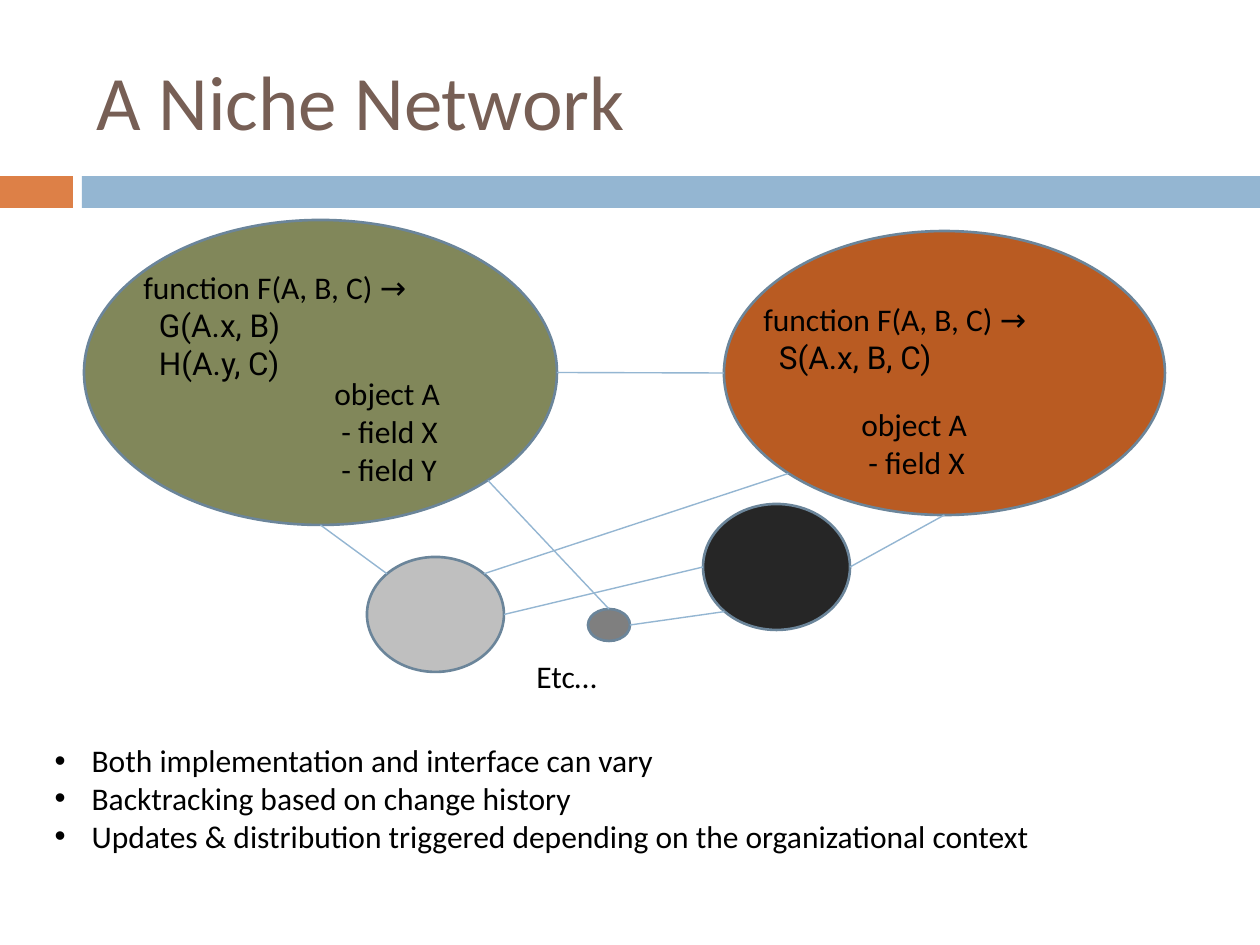
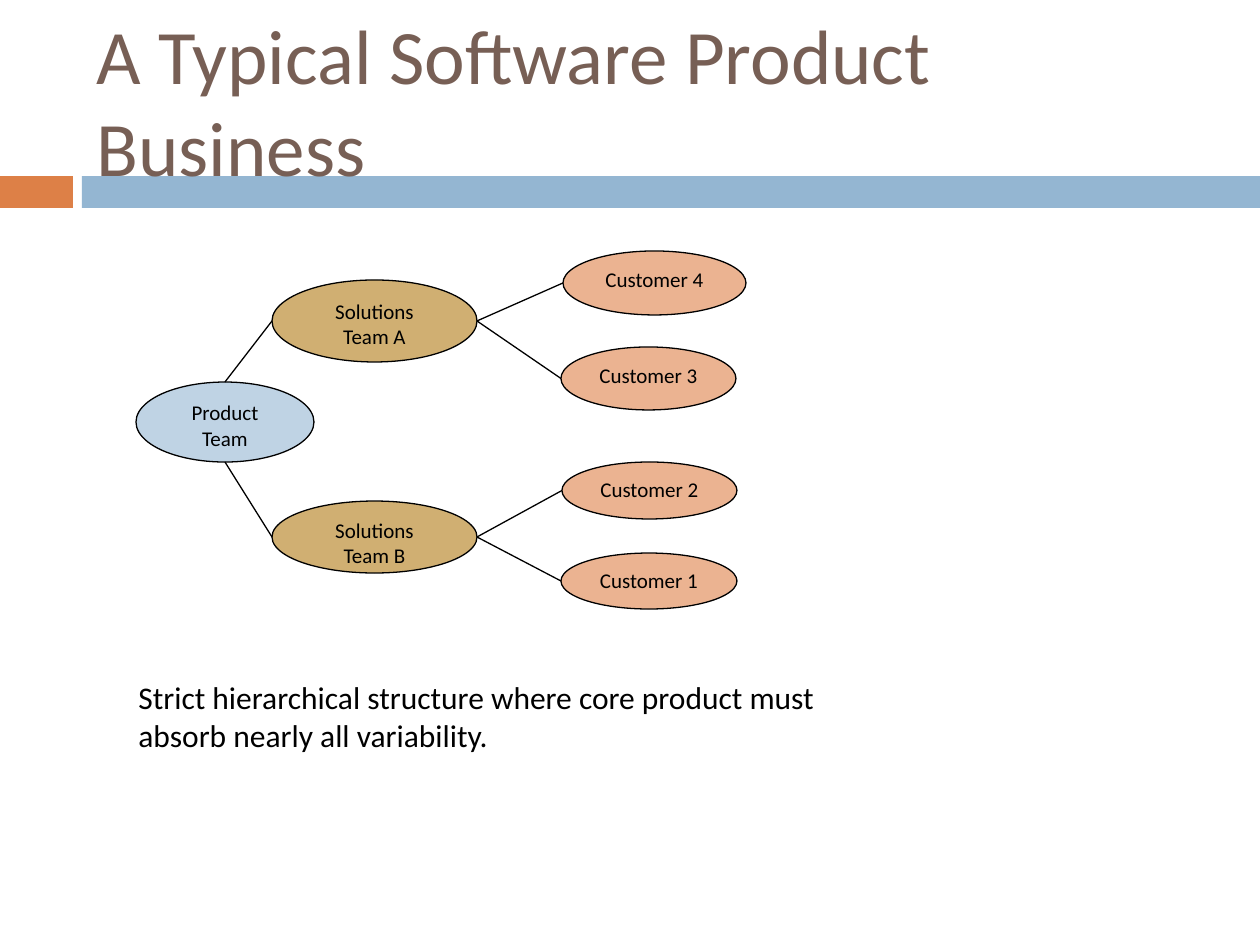
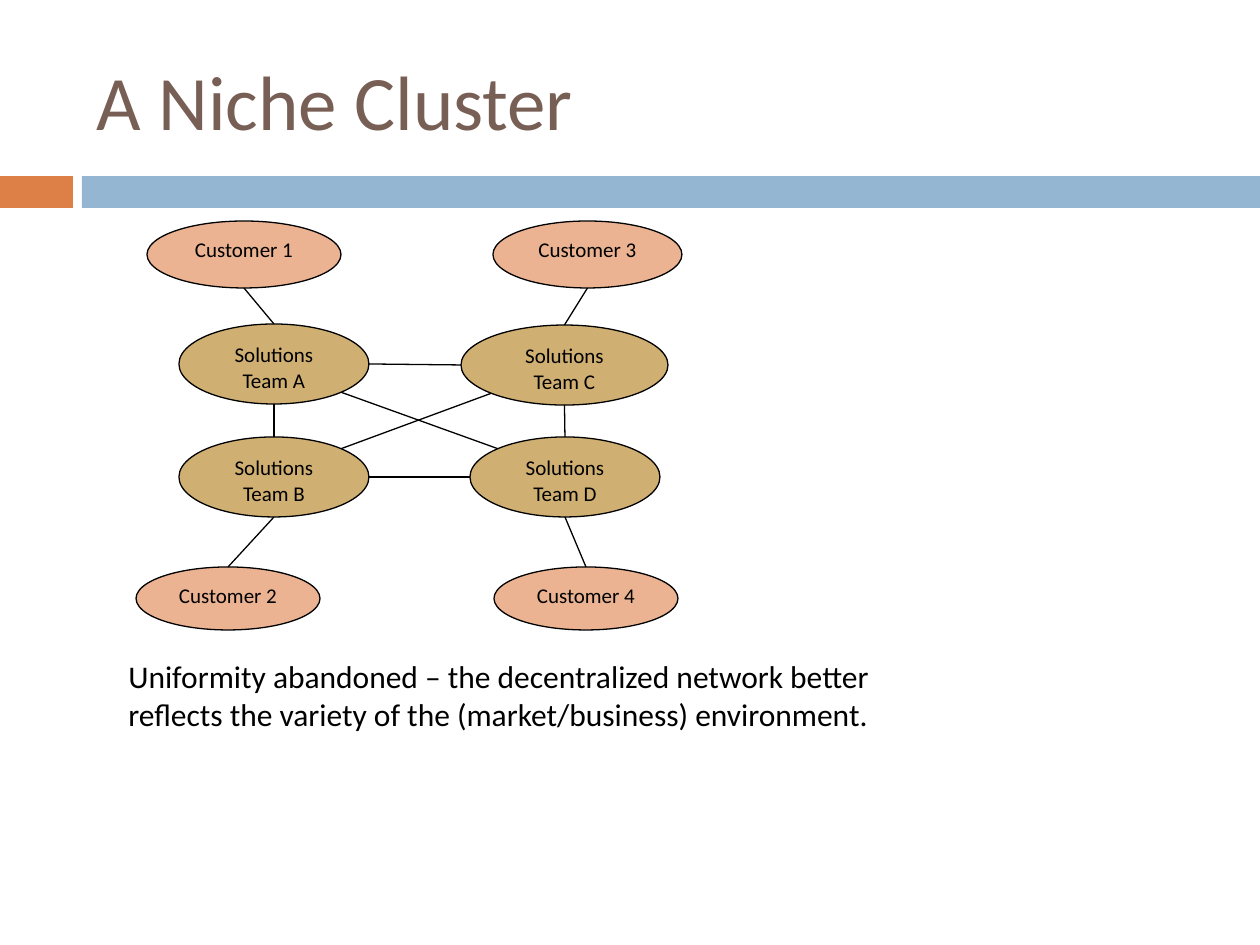
from lxml.etree import SubElement
from pptx import Presentation
from pptx.dml.color import RGBColor
from pptx.enum.shapes import MSO_CONNECTOR, MSO_SHAPE
from pptx.enum.text import MSO_ANCHOR, MSO_AUTO_SIZE, PP_ALIGN
from pptx.oxml.ns import qn
from pptx.util import Emu, Pt

# Shared look
PX = 914400 / 126
FONT, CODE_FONT = "Calibri", "Roboto"
BLACK, TITLE_COLOR = "000000", "775F55"
BANDS = [((0, 176, 73, 32), "DD8047"), ((82, 176, 1178, 32), "94B6D2")]
TITLE_BOX = (84, 32, 1124, 136)
NICHE_LINE, NICHE_LINK = ("6B859A", 1.5), ("94B6D2", 0.8)
TEAM_LINE = (BLACK, 0.75)
PRODUCT, SOLUTIONS, CUSTOMER = "BFD3E4", "D0AF72", "EBB391"

# Where links meet an ellipse, as fractions of its box
NEAR, FAR = 0.146, 0.854
SITES = {
    "top": (0.5, 0), "bottom": (0.5, 1), "left": (0, 0.5), "right": (1, 0.5),
    "top left": (NEAR, NEAR), "top right": (FAR, NEAR),
    "bottom left": (NEAR, FAR), "bottom right": (FAR, FAR),
}

# Slide 1: each node is name: (box, fill, label)
NICHES = {
    "green": ((84, 220, 473, 305), "81875A", ""),
    "orange": ((724, 231, 441, 284), "B95B22", ""),
    "light": ((367, 557, 137, 115), "BFBFBF", ""),
    "dark": ((703, 504, 147, 126), "262626", ""),
    "small": ((588, 609, 42, 32), "7F7F7F", ""),
}
NICHE_LINKS = [
    ("green", "right", "orange", "left"),
    ("green", "bottom", "light", "top left"),
    ("light", "top right", "orange", "bottom left"),
    ("dark", "bottom left", "small", "right"),
    ("small", "top", "green", "bottom right"),
    ("light", "right", "dark", "left"),
    ("dark", "right", "orange", "bottom"),
]
SIGNATURE = [("function F(A, B, C) ", FONT), ("→", CODE_FONT)]
NICHE_NOTES = [
    ((131, 262, 328, 126),
     [SIGNATURE, [("  G(A.x, B)", CODE_FONT)], [("  H(A.y, C)", CODE_FONT)]]),
    ((322, 368, 144, 126),
     [[("object A", FONT)], [(" - field X", FONT)], [(" - field Y", FONT)]]),
    ((751, 294, 328, 88), [SIGNATURE, [("  S(A.x, B, C)", CODE_FONT)]]),
    ((849, 399, 150, 88), [[("object A", FONT)], [(" - field X", FONT)]]),
    ((524, 651, 93, 50), [[("Etc…", FONT)]]),
]
BULLET_BOX, BULLET_INDENT = (42, 735, 1166, 126), 37
BULLETS = [
    "Both implementation and interface can vary",
    "Backtracking based on change history",
    "Updates & distribution triggered depending on the organizational context",
]

# Slides 2 and 3
TEAM_SLIDES = [
    {
        "title": "A Typical Software Product Business",
        "nodes": {
            "P": ((136, 382, 178, 80), PRODUCT, "Product Team"),
            "C4": ((563, 251, 183, 64), CUSTOMER, "Customer 4"),
            "C3": ((561, 347, 175, 63), CUSTOMER, "Customer 3"),
            "C2": ((562, 462, 175, 57), CUSTOMER, "Customer 2"),
            "C1": ((561, 553, 176, 56), CUSTOMER, "Customer 1"),
            "B": ((272, 501, 205, 72), SOLUTIONS, "Solutions Team B"),
            "A": ((272, 280, 205, 82), SOLUTIONS, "Solutions Team A"),
        },
        "links": [
            ("P", "top", "A", "left"), ("P", "bottom", "B", "left"),
            ("A", "right", "C4", "left"), ("A", "right", "C3", "left"),
            ("B", "right", "C2", "left"), ("B", "right", "C1", "left"),
        ],
        "note_box": (126, 672, 735, 88),
        "note": "Strict hierarchical structure where core product must "
                "absorb nearly all variability.",
    },
    {
        "title": "A Niche Cluster",
        "nodes": {
            "A": ((179, 324, 190, 80), SOLUTIONS, "Solutions Team A"),
            "B": ((179, 437, 190, 80), SOLUTIONS, "Solutions Team B"),
            "C": ((461, 325, 207, 80), SOLUTIONS, "Solutions Team C"),
            "C1": ((147, 221, 194, 67), CUSTOMER, "Customer 1"),
            "C3": ((493, 221, 189, 67), CUSTOMER, "Customer 3"),
            "C2": ((136, 567, 184, 63), CUSTOMER, "Customer 2"),
            "C4": ((494, 567, 184, 63), CUSTOMER, "Customer 4"),
            "D": ((470, 437, 190, 80), SOLUTIONS, "Solutions Team D"),
        },
        "links": [
            ("A", "top", "C1", "bottom"), ("C", "top", "C3", "bottom"),
            ("C2", "top", "B", "bottom"), ("C4", "top", "D", "bottom"),
            ("B", "top", "A", "bottom"), ("B", "right", "D", "left"),
            ("D", "top", "C", "bottom"), ("A", "right", "C", "left"),
            ("B", "top right", "C", "bottom left"),
            ("A", "bottom right", "D", "top left"),
        ],
        "note_box": (116, 651, 809, 126),
        "note": "Uniformity abandoned – the decentralized network better "
                "reflects the variety of the (market/business) environment.",
    },
]


def scaled(*lengths):
    return [Emu(round(length * PX)) for length in lengths]


def color(value):
    return RGBColor.from_string(value)


def place(shape, box):
    shape.left, shape.top, shape.width, shape.height = scaled(*box)


def style_font(font, size, value=BLACK, name=FONT):
    font.size, font.name = Pt(size), name
    font.color.rgb = color(value)


def style_line(line, style):
    line.color.rgb, line.width = color(style[0]), Pt(style[1])


def add_filled(slide, kind, box, fill):
    shape = slide.shapes.add_shape(kind, *scaled(*box))
    shape.shadow.inherit = False
    shape.fill.solid()
    shape.fill.fore_color.rgb = color(fill)
    return shape


def add_node(slide, box, fill, label, line):
    ellipse = add_filled(slide, MSO_SHAPE.OVAL, box, fill)
    style_line(ellipse.line, line)
    if label:
        frame = ellipse.text_frame
        frame.vertical_anchor = MSO_ANCHOR.TOP
        frame.text = label
        paragraph = frame.paragraphs[0]
        paragraph.alignment = PP_ALIGN.CENTER
        paragraph.space_after = Pt(10)
        style_font(paragraph.font, 12)


def site(box, name):
    left, top, width, height = box
    across, down = SITES[name]
    return left + across * width, top + down * height


def add_network(slide, nodes, links, node_line, link_line):
    for box, fill, label in nodes.values():
        add_node(slide, box, fill, label, node_line)
    for start, start_site, end, end_site in links:
        ends = site(nodes[start][0], start_site) + site(nodes[end][0], end_site)
        connector = slide.shapes.add_connector(MSO_CONNECTOR.STRAIGHT, *scaled(*ends))
        style_line(connector.line, link_line)
        SubElement(connector._element.spPr, qn("a:effectLst"))


def add_note(slide, box, lines):
    frame = slide.shapes.add_textbox(*scaled(*box)).text_frame
    frame.word_wrap = True
    for index, runs in enumerate(lines):
        paragraph = frame.add_paragraph() if index else frame.paragraphs[0]
        for text, font_name in runs:
            run = paragraph.add_run()
            run.text = text
            style_font(run.font, 18, name=font_name)


def add_bullets(placeholder):
    place(placeholder, BULLET_BOX)
    frame = placeholder.text_frame
    frame.auto_size = MSO_AUTO_SIZE.NONE
    frame.text = "\n".join(BULLETS)
    indent = scaled(BULLET_INDENT)[0]
    for paragraph in frame.paragraphs:
        paragraph.space_before = Pt(0)
        properties = paragraph._p.get_or_add_pPr()
        properties.set("marL", str(indent))
        properties.set("indent", str(-indent))
        SubElement(properties, qn("a:buFont")).set("typeface", "Arial")
        SubElement(properties, qn("a:buChar")).set("char", "•")
        style_font(paragraph.font, 18)


def add_slide(presentation, layout_name, title):
    layout = presentation.slide_layouts.get_by_name(layout_name)
    slide = presentation.slides.add_slide(layout)
    frame = slide.shapes.title.text_frame
    frame.text = title
    frame.auto_size = MSO_AUTO_SIZE.NONE
    frame.vertical_anchor = MSO_ANCHOR.MIDDLE
    paragraph = frame.paragraphs[0]
    paragraph.alignment = PP_ALIGN.LEFT
    style_font(paragraph.font, 44, TITLE_COLOR)
    return slide


def set_up_master(master, slide):
    """Draw the bands on a slide, then move them behind everything on the master."""
    place(master.placeholders[0], TITLE_BOX)
    for index, (box, fill) in enumerate(BANDS):
        band = add_filled(slide, MSO_SHAPE.RECTANGLE, box, fill)
        band.line.fill.background()
        master.shapes._spTree.insert(2 + index, band._element)


def main():
    presentation = Presentation()
    presentation.slide_width, presentation.slide_height = scaled(1260, 945)

    # Niche network
    slide = add_slide(presentation, "Title and Content", "A Niche Network")
    set_up_master(presentation.slide_master, slide)
    add_network(slide, NICHES, NICHE_LINKS, NICHE_LINE, NICHE_LINK)
    for box, lines in NICHE_NOTES:
        add_note(slide, box, lines)
    add_bullets(slide.placeholders[1])

    # Product business and niche cluster
    for content in TEAM_SLIDES:
        slide = add_slide(presentation, "Title Only", content["title"])
        add_network(slide, content["nodes"], content["links"], TEAM_LINE, TEAM_LINE)
        add_note(slide, content["note_box"], [[(content["note"], FONT)]])

    presentation.save("out.pptx")


if __name__ == "__main__":
    main()
